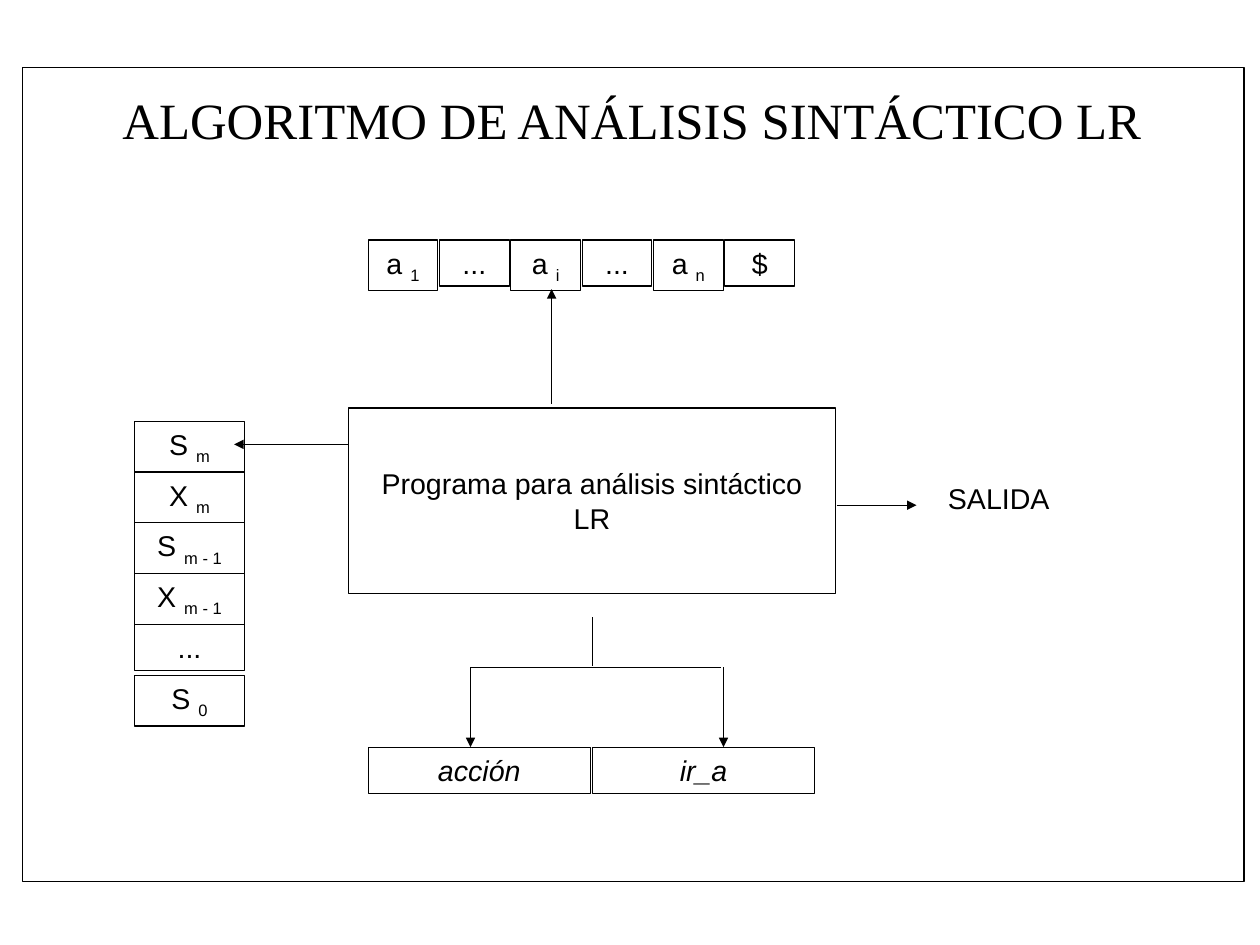
"""Draw the structure of an LR parser: input, stack, program, tables and output."""
from dataclasses import dataclass

from lxml import etree
from pptx import Presentation
from pptx import util as u
from pptx.dml.color import RGBColor
from pptx.enum import shapes, text
from pptx.oxml import ns

BLACK = RGBColor(0x00, 0x00, 0x00)
LINE_WIDTH = 0.75
CELL_HEIGHT, SUB_CELL_HEIGHT = 29, 32
INPUT_LEFT, INPUT_TOP, INPUT_PITCH, INPUT_WIDTH = 231.9, 151.2, 44.95, 43.9
STACK_LEFT, STACK_TOP, STACK_PITCH, STACK_WIDTH = 84.9, 265.3, 32, 69
TABLE_LEFT, TABLE_TOP, TABLE_PITCH, TABLE_WIDTH = 232, 470.6, 141.3, 139.9
BRANCH_TOP, BRANCH_LEFT, BRANCH_RIGHT = 420.4, 296.4, 455.8
INPUT = [("a ", "1"), ("...", ""), ("a ", "i"), ("...", ""), ("a ", "n"), ("$", "")]
STACK = [("S ", "m"), ("X ", "m"), ("S ", "m - 1"), ("X ", "m - 1"), ("...", ""), ("S ", "0")]
TABLES = ["acción", "ir_a"]


@dataclass(frozen=True)
class Box:
    left: float
    top: float
    width: float
    height: float
    label: str = ""
    sub: str = ""
    italic: bool = False
    outlined: bool = True
    anchor: text.MSO_ANCHOR = text.MSO_ANCHOR.TOP


@dataclass(frozen=True)
class Link:
    x1: float
    y1: float
    x2: float
    y2: float
    arrow: bool = True


def write(tf, label: str, *, sub: str = "", font: str = "Arial", size: float = 18,
          italic: bool = False, anchor=text.MSO_ANCHOR.TOP) -> None:
    tf.word_wrap = True
    tf.auto_size = text.MSO_AUTO_SIZE.NONE
    tf.vertical_anchor = anchor
    p = tf.paragraphs[0]
    p.alignment = text.PP_ALIGN.CENTER
    for content in filter(None, (label, sub)):
        r = p.add_run()
        r.text = content
        r.font.name = font
        r.font.size = u.Pt(size)
        r.font.italic = italic
        r.font.color.rgb = BLACK
    if sub:
        r._r.get_or_add_rPr().set("baseline", "-25000")


def draw_box(slide, box: Box) -> None:
    area = [u.Pt(v) for v in (box.left, box.top, box.width, box.height)]
    if box.outlined:
        sp = slide.shapes.add_shape(shapes.MSO_SHAPE.RECTANGLE, *area)
        sp.shadow.inherit = False
        sp.fill.background()
        sp.line.color.rgb = BLACK
        sp.line.width = u.Pt(LINE_WIDTH)
    else:
        sp = slide.shapes.add_textbox(*area)
    if box.label:
        write(sp.text_frame, box.label, sub=box.sub, italic=box.italic, anchor=box.anchor)


def draw_link(slide, link: Link) -> None:
    ends = [u.Pt(v) for v in (link.x1, link.y1, link.x2, link.y2)]
    cxn = slide.shapes.add_connector(shapes.MSO_CONNECTOR.STRAIGHT, *ends)
    cxn.line.color.rgb = BLACK
    cxn.line.width = u.Pt(LINE_WIDTH)
    if link.arrow:
        ln = cxn.line._get_or_add_ln()
        etree.SubElement(ln, ns.qn("a:tailEnd"), type="triangle")
    etree.SubElement(cxn._element.spPr, ns.qn("a:effectLst"))


def cell_height(sub: str) -> float:
    return SUB_CELL_HEIGHT if sub else CELL_HEIGHT


def boxes() -> list[Box]:
    cells = [Box(INPUT_LEFT + i * INPUT_PITCH, INPUT_TOP, INPUT_WIDTH, cell_height(sub), label, sub)
             for i, (label, sub) in enumerate(INPUT)]
    cells += [Box(STACK_LEFT, STACK_TOP + i * STACK_PITCH, STACK_WIDTH, cell_height(sub), label, sub)
              for i, (label, sub) in enumerate(STACK)]
    cells += [Box(TABLE_LEFT + i * TABLE_PITCH, TABLE_TOP, TABLE_WIDTH, CELL_HEIGHT, label, italic=True)
              for i, label in enumerate(TABLES)]
    return cells + [
        Box(219.5, 257, 306.8, 116.7, "Programa para análisis sintáctico LR",
            anchor=text.MSO_ANCHOR.MIDDLE),
        Box(546.4, 299.1, 165.6, CELL_HEIGHT, "SALIDA", outlined=False),
        Box(14.4, 42.6, 769.3, 512.7),
    ]


def links() -> list[Link]:
    return [
        Link(347.5, 254.2, 347.5, 182.2),
        Link(219.5, 279.9, 147.5, 279.9),
        Link(527, 318.2, 577.4, 318.2),
        Link(BRANCH_LEFT, BRANCH_TOP, BRANCH_LEFT, TABLE_TOP),
        Link(BRANCH_RIGHT, BRANCH_TOP, BRANCH_RIGHT, TABLE_TOP),
        Link(BRANCH_LEFT, BRANCH_TOP, 454.5, BRANCH_TOP, arrow=False),
        Link(373.4, 388.8, 373.4, 419.6, arrow=False),
    ]


def main() -> None:
    prs = Presentation()
    prs.slide_width, prs.slide_height = u.Pt(793.75), u.Pt(595.25)
    slide = prs.slides.add_slide(prs.slide_layouts[5])
    title = slide.shapes.title
    title.left, title.top, title.width, title.height = map(u.Pt, (25.8, 24.5, 745.2, 101.5))
    write(title.text_frame, "ALGORITMO DE ANÁLISIS SINTÁCTICO LR",
          font="Times New Roman", size=32, anchor=text.MSO_ANCHOR.MIDDLE)
    for box in boxes():
        draw_box(slide, box)
    for link in links():
        draw_link(slide, link)
    prs.save("out.pptx")


if __name__ == "__main__":
    main()
